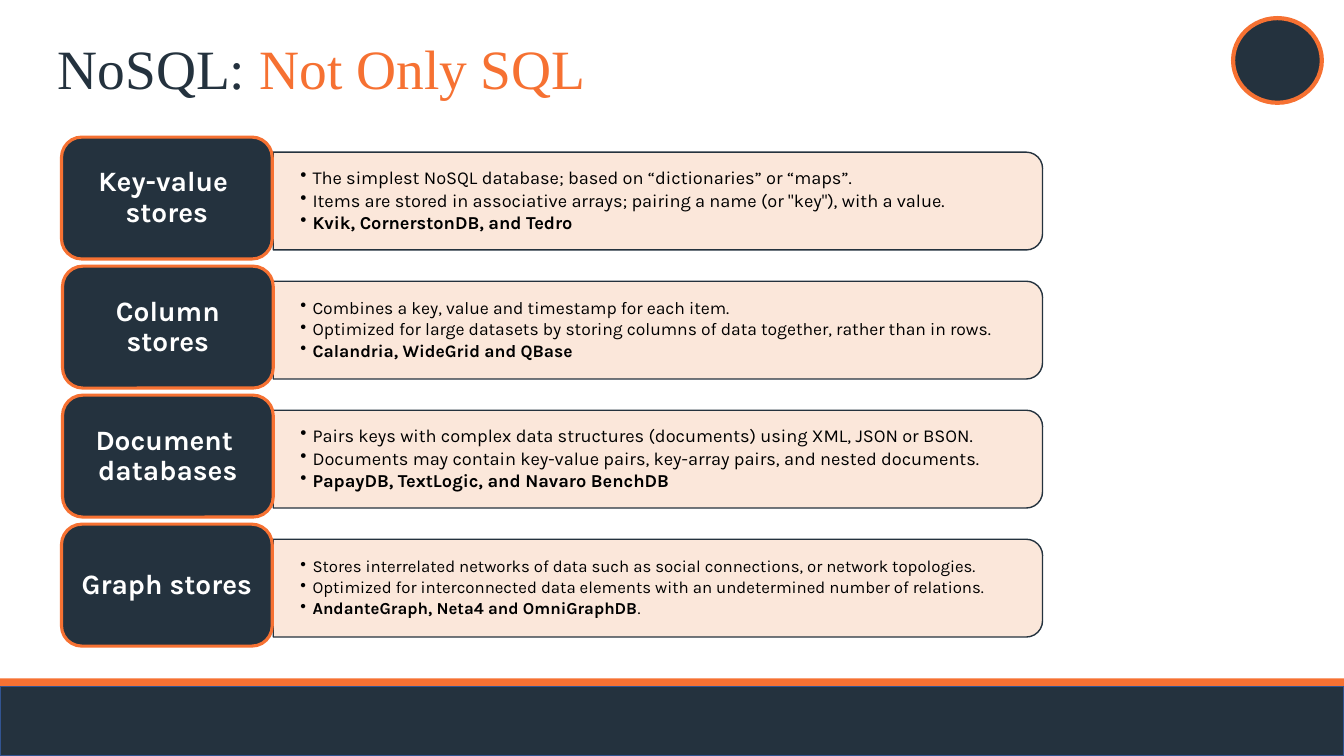
from pptx import Presentation
from pptx.dml.color import RGBColor
from pptx.enum.shapes import MSO_SHAPE
from pptx.enum.text import MSO_ANCHOR, MSO_AUTO_SIZE, PP_ALIGN
from pptx.oxml.ns import qn
from pptx.util import Inches, Pt
from lxml import etree

RECT, OVAL = MSO_SHAPE.RECTANGLE, MSO_SHAPE.OVAL
ROUND, ROUND_TOP = MSO_SHAPE.ROUNDED_RECTANGLE, MSO_SHAPE.ROUND_2_SAME_RECTANGLE
MIDDLE, NO_FIT = MSO_ANCHOR.MIDDLE, MSO_AUTO_SIZE.NONE
LEFT, CENTER = PP_ALIGN.LEFT, PP_ALIGN.CENTER

COLORS = {"navy": "24323E", "orange": "F67132", "peach": "FBE5D6",
          "blue": "325491", "white": "FFFFFF", "black": "000000"}

TITLE = [("NoSQL: ", "navy"), ("Not Only SQL", "orange")]

# label, label left, text size, descriptions, examples, closing mark
STORES = [
    ("Key-value \vstores", 0.61, 13,
     ["The simplest NoSQL database; based on “dictionaries” or “maps”.",
      'Items are stored in associative arrays; pairing a name (or "key"), with a value.'],
     "Kvik, CornerstonDB, and Tedro", ""),
    ("Column stores", 0.62, 12.5,
     ["Combines a key, value and timestamp for each item.",
      "Optimized for large datasets by storing columns of data together, rather than in rows."],
     "Calandria, WideGrid and QBase", ""),
    ("Document \vdatabases", 0.62, 13,
     ["Pairs keys with complex data structures (documents) using XML, JSON or BSON.",
      "Documents may contain key-value pairs, key-array pairs, and nested documents."],
     "PapayDB, TextLogic, and Navaro BenchDB", ""),
    ("Graph stores", 0.61, 12,
     ["Stores interrelated networks of data such as social connections, or network topologies.",
      "Optimized for interconnected data elements with an undetermined number of relations."],
     "AndanteGraph, Neta4 and OmniGraphDB", "."),
]

SLIDE_W, SLIDE_H = 13.33, 7.5
TOP, PITCH = 1.36, 1.28
LABEL_W, LABEL_H = 2.09, 1.21
PANEL_LEFT, PANEL_W, PANEL_H = 2.71, 7.63, 0.97
TEXT_W, TEXT_H = 7.58, 0.88
PANEL_DROP = 0.15
BULLET_INDENT = Inches(0.12)


def rgb(name):
    return RGBColor.from_string(COLORS[name])


def add_shape(kind, box, fill, line=None, width=1):
    sp = slide.shapes.add_shape(kind, *map(Inches, box))
    sp.shadow.inherit = False
    sp.fill.solid()
    sp.fill.fore_color.rgb = rgb(fill)
    if line:
        sp.line.color.rgb = rgb(line)
        sp.line.width = Pt(width)
    else:
        sp.line.fill.background()
    return sp


def set_frame(tf, x_margin, y_margin):
    margins = {"margin_left": x_margin, "margin_right": x_margin,
               "margin_top": y_margin, "margin_bottom": y_margin}
    for name, value in margins.items():
        setattr(tf, name, Inches(value))
    tf.word_wrap = True
    tf.auto_size = NO_FIT
    tf.vertical_anchor = MIDDLE


def format_paragraph(p, align):
    p.alignment = align
    p.line_spacing = 0.9


def format_font(font, name, size, color, bold=False):
    for key, value in {"name": name, "size": Pt(size), "bold": bold}.items():
        setattr(font, key, value)
    font.color.rgb = rgb(color)


def add_bullet(p):
    pPr = p._p.get_or_add_pPr()
    pPr.set("marL", str(BULLET_INDENT))
    pPr.set("indent", str(-BULLET_INDENT))
    etree.SubElement(pPr, qn("a:buChar")).set("char", "•")


def add_panel(top):
    """Turn a tall shape a quarter so that its rounded end points right."""
    left = PANEL_LEFT + (PANEL_W - PANEL_H) / 2
    box = (left, top + (PANEL_H - PANEL_W) / 2, PANEL_H, PANEL_W)
    sp = add_shape(ROUND_TOP, box, "peach", "navy")
    sp.rotation = 90
    color = sp._element.spPr.find(qn("a:solidFill"))[0]
    etree.SubElement(color, qn("a:alpha")).set("val", "90000")


def add_details(top, size, descriptions, examples, mark):
    box = (PANEL_LEFT, top, TEXT_W, TEXT_H)
    tf = slide.shapes.add_textbox(*map(Inches, box)).text_frame
    set_frame(tf, 0.27, 0.14)
    lines = [[(text, False)] for text in descriptions]
    lines.append([(examples, True), (mark, False)])
    for i, line in enumerate(lines):
        p = tf.add_paragraph() if i else tf.paragraphs[0]
        format_paragraph(p, LEFT)
        p.space_after = Pt(2)
        add_bullet(p)
        for text, bold in line:
            if text:
                r = p.add_run()
                r.text = text
                format_font(r.font, "Karla", size, "black", bold)


def add_label(left, top, text):
    sp = add_shape(ROUND, (left, top, LABEL_W, LABEL_H), "navy", "orange", 2.25)
    tf = sp.text_frame
    set_frame(tf, 0.08, 0.04)
    tf.text = text
    p = tf.paragraphs[0]
    format_paragraph(p, CENTER)
    for r in p.runs:
        format_font(r.font, "Karla", 20, "white", True)


def add_title():
    title = slide.shapes.title
    box = {"left": 0.47, "top": 0.4, "width": 11.23, "height": 0.62}
    for name, value in box.items():
        setattr(title, name, Inches(value))
    set_frame(title.text_frame, 0.1, 0.05)
    p = title.text_frame.paragraphs[0]
    format_paragraph(p, LEFT)
    for text, color in TITLE:
        r = p.add_run()
        r.text = text
        format_font(r.font, "Times New Roman", 39.6, color)


prs = Presentation()
prs.slide_width, prs.slide_height = Inches(SLIDE_W), Inches(SLIDE_H)
slide = prs.slides.add_slide(prs.slide_layouts[5])

add_shape(RECT, (0, 6.73, SLIDE_W, 0.28), "orange")
add_shape(RECT, (0, 6.81, SLIDE_W, 0.69), "navy", "blue")
add_shape(OVAL, (12.23, 0.18, 0.88, 0.84), "navy", "orange", 3)
add_title()

for row, (label, left, size, descriptions, examples, mark) in enumerate(STORES):
    top = TOP + row * PITCH
    panel_top = top + PANEL_DROP
    add_panel(panel_top)
    add_details(panel_top + (PANEL_H - TEXT_H) / 2, size, descriptions, examples, mark)
    add_label(left, top, label)

prs.save("out.pptx")
